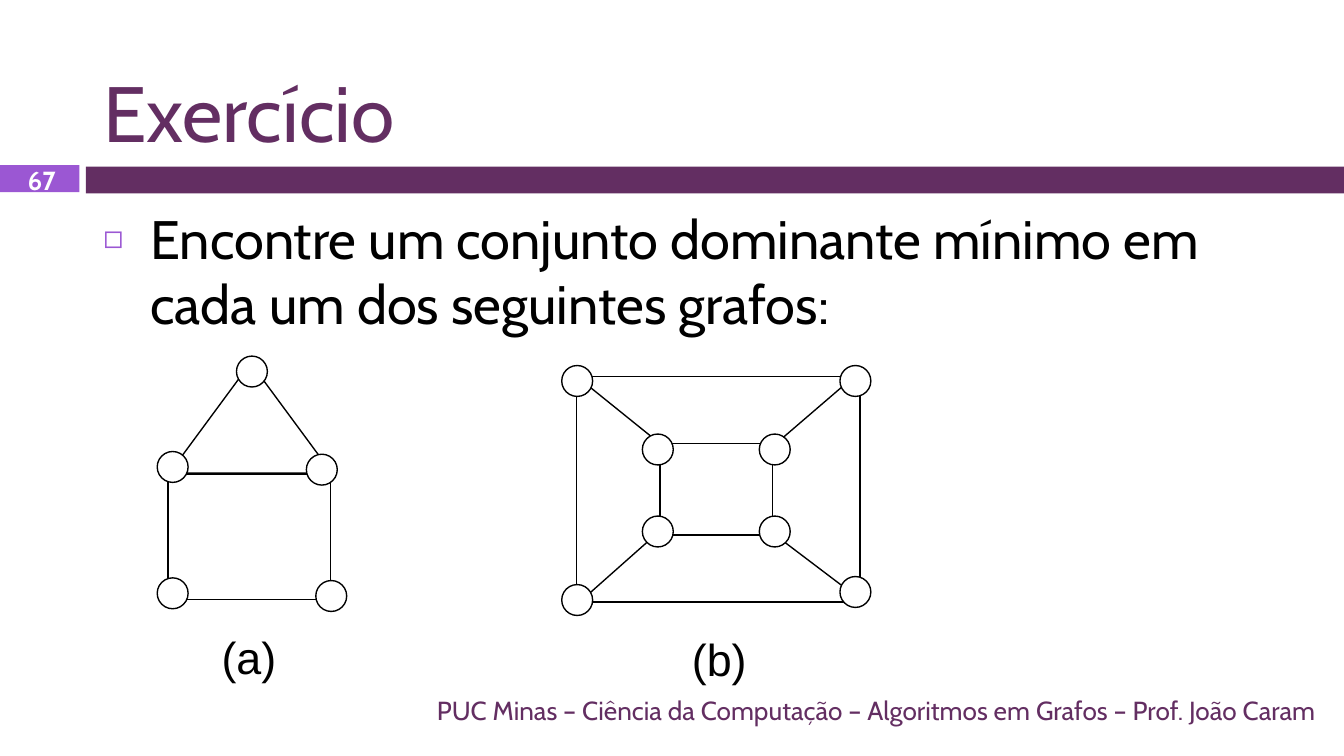
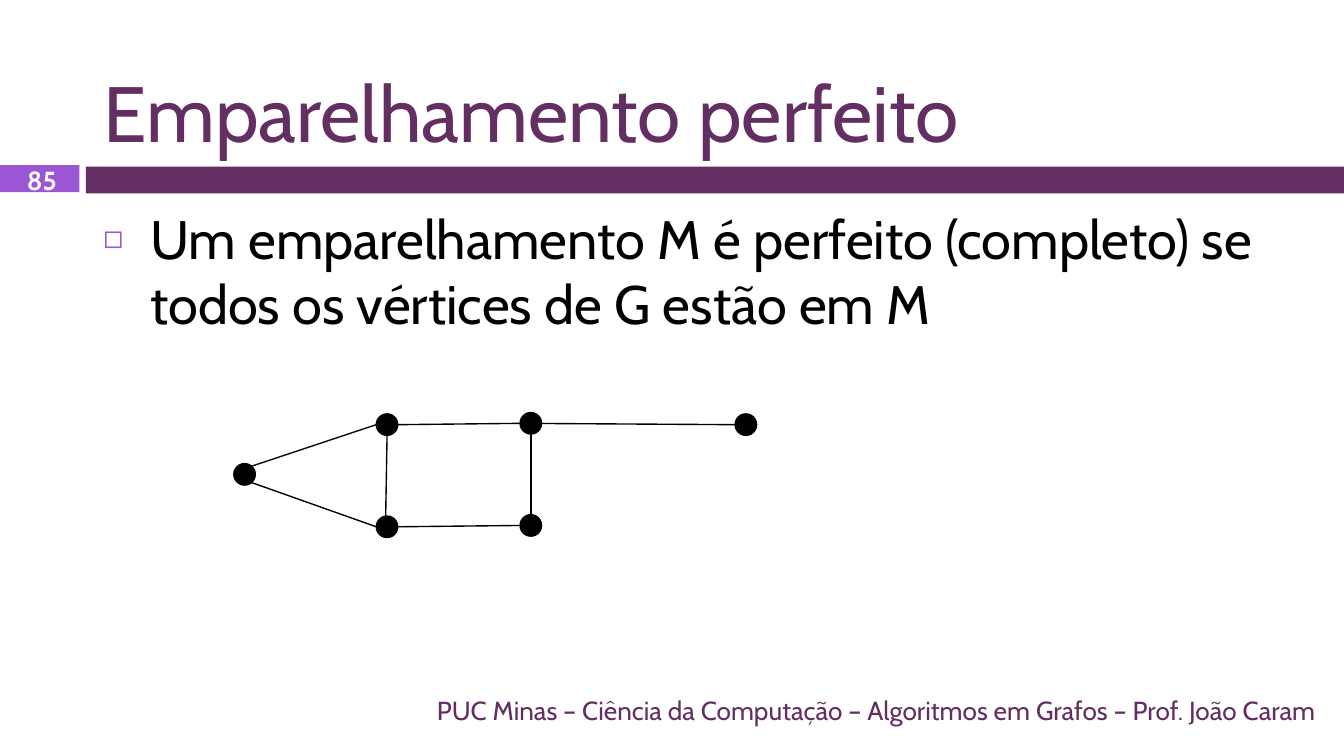
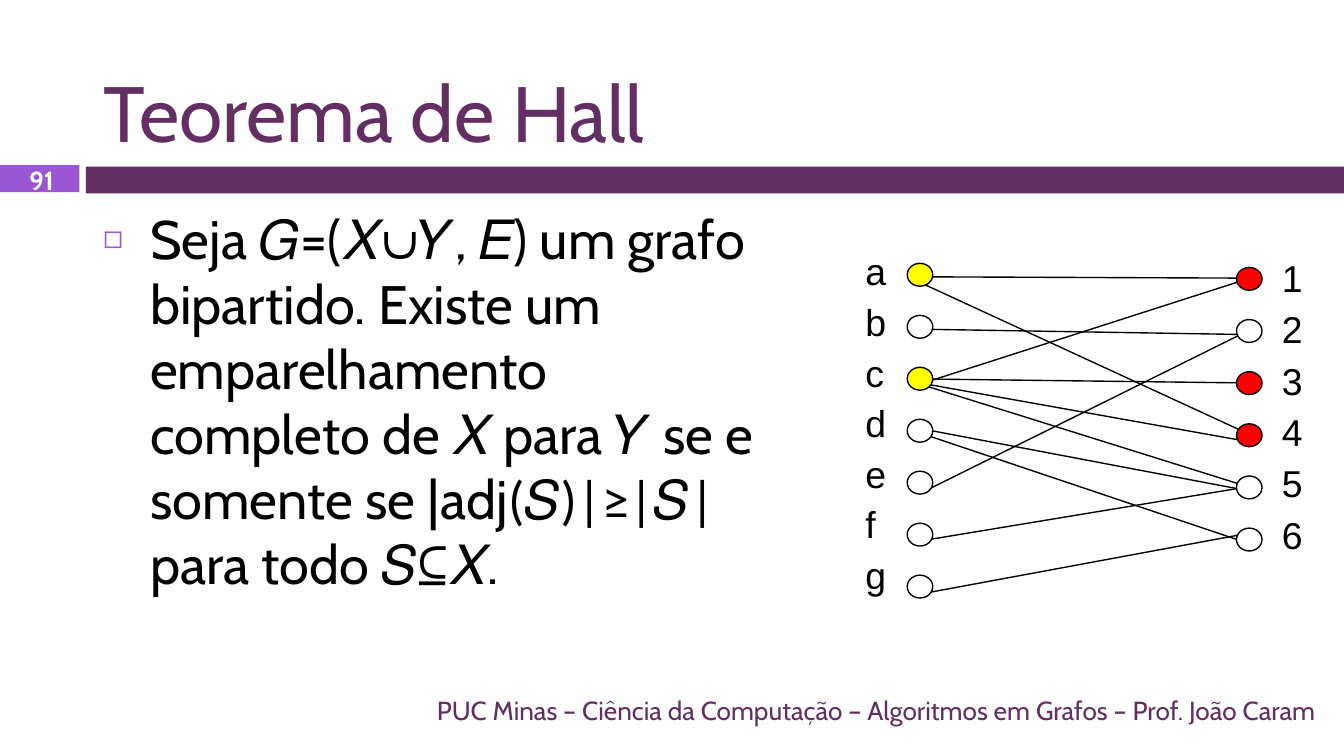
import pptx
import pptx.util
from lxml import etree
from pptx.dml.color import RGBColor
from pptx.enum.shapes import MSO_CONNECTOR, MSO_SHAPE
from pptx.enum.text import MSO_ANCHOR, MSO_AUTO_SIZE, PP_ALIGN
from pptx.oxml.ns import qn
from pptx.util import Inches

COLORS = {
    "plum": "632E62",
    "violet": "9B57D3",
    "black": "000000",
    "white": "FFFFFF",
    "yellow": "FFFF00",
    "red": "FF0000",
}
FOOTER = "PUC Minas – Ciência da Computação – Algoritmos em Grafos – Prof. João Caram"


def rgb(name):
    return RGBColor.from_string(COLORS[name])


def add_run(p, text, font="Cabin", size=14, color="black", bold=False):
    r = p.add_run()
    r.text = text
    r.font.name = font
    r.font.size = pptx.util.Pt(size)
    r.font.bold = bold
    r.font.color.rgb = rgb(color)


def add_bullet(p):
    """Give the paragraph a hanging square bullet."""
    pPr = p._p.get_or_add_pPr()
    pPr.set("marL", str(Inches(0.35)))
    pPr.set("indent", str(-Inches(0.35)))
    color = etree.SubElement(pPr, qn("a:buClr"))
    etree.SubElement(color, qn("a:srgbClr"), val=COLORS["violet"])
    etree.SubElement(pPr, qn("a:buSzPct"), val="60000")
    etree.SubElement(pPr, qn("a:buFont"), typeface="Arial")
    etree.SubElement(pPr, qn("a:buChar"), char="◻")


class Deck:
    """Holds the shared style, the current slide and the current drawing target."""

    def __init__(self):
        self.prs = pptx.Presentation()
        self.prs.slide_width = Inches(10)
        self.prs.slide_height = Inches(10) * 9 // 16

    def new_slide(self, title, number):
        self.s = self.prs.slides.add_slide(self.prs.slide_layouts[5])
        self.shapes = self.s.shapes
        self.shape(0.64, 1.24, 9.37, 0.2, "plum", kind=MSO_SHAPE.RECTANGLE, line=None)
        self.shape(0, 1.23, 0.59, 0.2, "violet", kind=MSO_SHAPE.RECTANGLE, line=None)

        sp = self.s.shapes.title
        sp.left, sp.top, sp.width, sp.height = map(Inches, (0.67, 0.13, 9.22, 1.1))
        tf = sp.text_frame
        tf.auto_size = MSO_AUTO_SIZE.NONE
        tf.vertical_anchor = MSO_ANCHOR.BOTTOM
        tf.margin_bottom = Inches(0.05)
        tf.paragraphs[0].alignment = PP_ALIGN.LEFT
        add_run(tf.paragraphs[0], title, size=42, color="plum")

        self.text(0.02, 1.24, 0.58, 0.2, number, align=PP_ALIGN.CENTER,
                  anchor=MSO_ANCHOR.MIDDLE, color="white", bold=True)
        self.text(0.67, 5.13, 9.22, 0.3, FOOTER, align=PP_ALIGN.RIGHT,
                  anchor=MSO_ANCHOR.MIDDLE, color="plum")

    def group(self):
        """Send the shapes and edges that follow into a new group."""
        self.shapes = self.s.shapes.add_group_shape().shapes

    def text(self, x, y, w, h, text, align=PP_ALIGN.LEFT, anchor=MSO_ANCHOR.TOP,
             wrap=True, **font):
        sp = self.s.shapes.add_textbox(*map(Inches, (x, y, w, h)))
        tf = sp.text_frame
        tf.word_wrap = wrap
        tf.auto_size = MSO_AUTO_SIZE.NONE if wrap else MSO_AUTO_SIZE.SHAPE_TO_FIT_TEXT
        tf.vertical_anchor = anchor
        p = tf.paragraphs[0]
        p.alignment = align
        add_run(p, text, **font)

    def label(self, x, y, w, h, text, size):
        self.text(x, y, w, h, text, wrap=False, font="Arial", size=size)

    def body(self, *runs, width=9.22):
        """Add the bulleted statement; each run is a (text, font) pair."""
        sp = self.s.shapes.add_textbox(*map(Inches, (0.67, 1.48, width, 3.58)))
        tf = sp.text_frame
        tf.word_wrap = True
        p = tf.paragraphs[0]
        add_bullet(p)
        for text, font in runs:
            add_run(p, text, font=font, size=29)

    def shape(self, x, y, w, h, fill="white", kind=MSO_SHAPE.OVAL, line="black"):
        sp = self.shapes.add_shape(kind, *map(Inches, (x, y, w, h)))
        sp.shadow.inherit = False
        sp.fill.solid()
        sp.fill.fore_color.rgb = rgb(fill)
        if line:
            sp.line.color.rgb = rgb(line)
            sp.line.width = pptx.util.Pt(0.75)
        else:
            sp.line.fill.background()

    def nodes(self, places, size, fill="white"):
        for x, y in places:
            self.shape(x, y, size, size, fill)

    def edges(self, ends):
        for points in ends:
            c = self.shapes.add_connector(MSO_CONNECTOR.STRAIGHT, *map(Inches, points))
            c.line.color.rgb = rgb("black")
            c.line.width = pptx.util.Pt(0.75)
            etree.SubElement(c._element.spPr, qn("a:effectLst"))


def dominating_set(deck):
    deck.new_slide("Exercício", "67")
    deck.body(("Encontre um conjunto dominante mínimo em cada um dos seguintes grafos:",
               "Cabin"))

    deck.group()
    deck.shape(1.25, 3.53, 1.21, 0.93, kind=MSO_SHAPE.RECTANGLE)
    deck.shape(1.26, 2.7, 1.21, 0.82, kind=MSO_SHAPE.ISOSCELES_TRIANGLE)
    deck.nodes([(1.76, 2.65), (1.17, 3.36), (2.28, 3.38), (1.17, 4.3), (2.35, 4.32)],
               0.23)

    deck.group()
    deck.shape(4.29, 2.8, 2.11, 1.68, kind=MSO_SHAPE.RECTANGLE)
    deck.shape(4.91, 3.3, 0.84, 0.68, kind=MSO_SHAPE.RECTANGLE)
    deck.edges([(4.29, 2.8, 4.91, 3.3), (4.29, 4.5, 4.91, 3.95),
                (5.74, 3.33, 6.38, 2.78), (5.74, 3.96, 6.4, 4.46)])
    outer = [(4.18, 2.72), (4.18, 4.35), (6.25, 2.72), (6.25, 4.29)]
    inner = [(x, y) for x in (4.78, 5.65) for y in (3.23, 3.84)]
    deck.nodes(outer + inner, 0.23)

    deck.label(1.55, 4.64, 0.61, 0.5, "(a)", 24)
    deck.label(5.05, 4.65, 0.61, 0.5, "(b)", 24)


def perfect_matching(deck):
    deck.new_slide("Emparelhamento perfeito", "85")
    deck.body(("Um emparelhamento M é perfeito (completo) se todos os vértices de G "
               "estão em M", "Cabin"))
    deck.nodes([(2.8, 3.08), (3.87, 3.07), (2.8, 3.84), (3.87, 3.83),
                (1.74, 3.45), (5.47, 3.08)], 0.16, "black")
    deck.edges([(2.87, 3.84, 2.88, 3.24), (3.87, 3.15, 2.96, 3.16),
                (3.95, 3.23, 3.95, 3.83), (3.87, 3.91, 2.95, 3.92),
                (5.47, 3.16, 3.87, 3.15), (2.8, 3.16, 1.87, 3.47),
                (2.8, 3.92, 1.87, 3.59)])


def hall_theorem(deck):
    deck.new_slide("Teorema de Hall", "91")
    deck.body(("Seja 𝐺=(𝑋∪𝑌, 𝐸) um grafo bipartido. Existe um emparelhamento "
               "completo de 𝑋 para 𝑌 se e somente se |adj", "Cabin"),
              ("(𝑆)|≥|𝑆| ", "Calibri"),
              ("para todo 𝑆⊆𝑋.", "Cabin"), width=5.04)
    deck.edges([(6.9, 2.06, 9.31, 2.07), (6.82, 2.09, 9.27, 3.22),
                (6.88, 2.45, 9.3, 2.49), (6.84, 2.86, 9.3, 2.07),
                (6.85, 2.82, 9.33, 2.85), (6.79, 2.84, 9.31, 3.29),
                (6.82, 2.85, 9.28, 3.62), (6.8, 3.18, 9.28, 3.65),
                (6.84, 3.22, 9.31, 4.05), (6.87, 3.66, 9.27, 2.47),
                (6.82, 4.03, 9.3, 3.62), (6.85, 4.42, 9.28, 3.97)])

    # names, label x, first and last label y, node x, first and last node y
    sides = [("abcdefg", 6.34, 1.8, 4.06, 6.75, 1.96, 4.28, "ac", "yellow"),
             ("123456", 9.44, 1.85, 3.76, 9.2, 1.99, 3.93, "134", "red")]
    for (names, label_x, label_top, label_end, node_x, node_top, node_end,
         marked, color) in sides:
        for i, name in enumerate(names):
            t = i / (len(names) - 1)
            width = 0.27 if name == "f" else 0.35
            deck.label(label_x, label_top + t * (label_end - label_top),
                       width, 0.44, name, 20)
            deck.shape(node_x, node_top + t * (node_end - node_top), 0.19, 0.17,
                       color if name in marked else "white")


def main():
    deck = Deck()
    dominating_set(deck)
    perfect_matching(deck)
    hall_theorem(deck)
    deck.prs.save("out.pptx")


if __name__ == "__main__":
    main()
